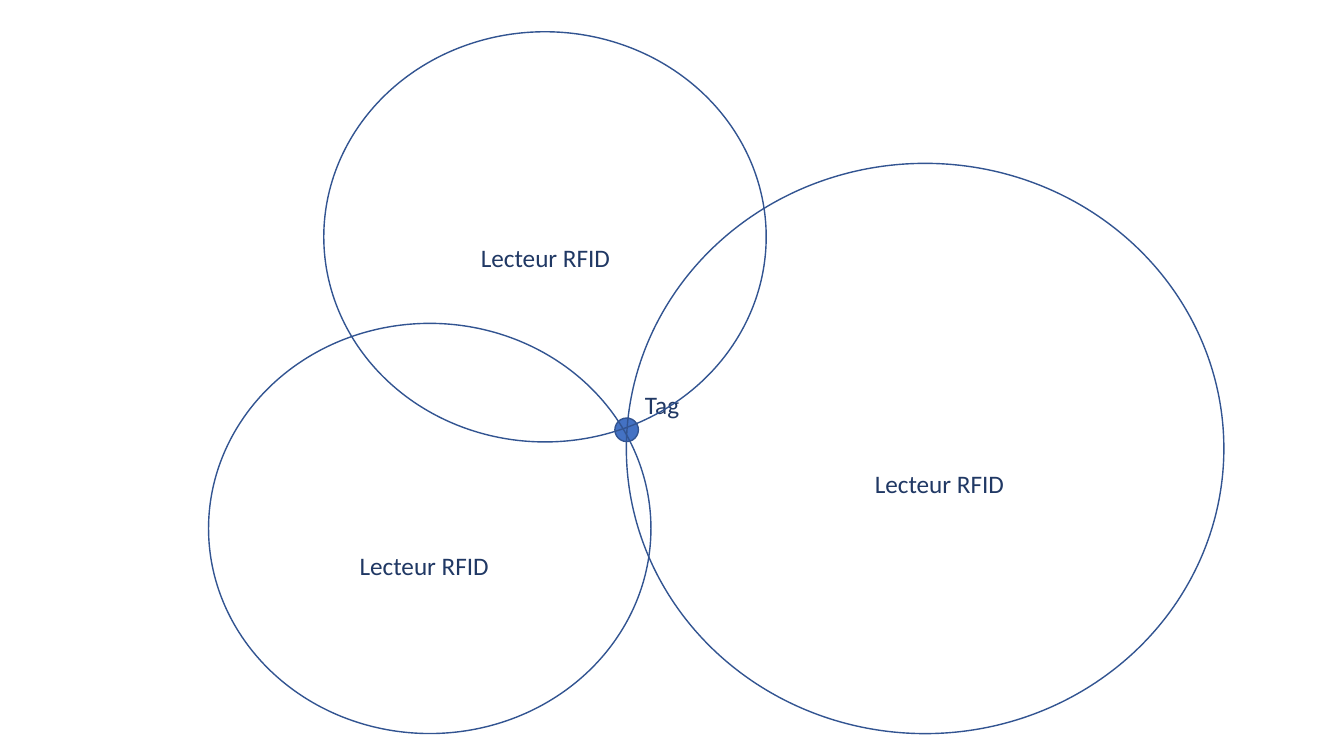
"""Build a slide that shows a tag located by three RFID readers."""
from dataclasses import dataclass

from pptx import Presentation
from pptx.dml.color import RGBColor
from pptx.enum import shapes, text
from pptx.util import Pt

BLUE = RGBColor(0x44, 0x72, 0xC4)
EDGE = RGBColor(0x32, 0x54, 0x91)
NAVY = RGBColor(0x20, 0x38, 0x64)


@dataclass
class Ring:
    left: float
    top: float
    width: float
    height: float
    fill: RGBColor | None = None


@dataclass
class Label:
    words: str
    left: float
    top: float
    width: float


TAG = Ring(439.2, 298.6, 16.8, 16.8, BLUE)
TAG_NAME = Label("Tag", 453.6, 274.5, 39.6)
READER = "Lecteur RFID"
ZONES = [
    (Label(READER, 249.8, 389.5, 108), Ring(149, 231, 316, 293)),
    (Label(READER, 617.8, 331.2, 108), Ring(447.4, 116.7, 426.8, 407.3)),
    (Label(READER, 336.4, 169.2, 108), Ring(231.3, 22.7, 316, 293)),
]


def draw_ring(slide, ring: Ring) -> None:
    oval = slide.shapes.add_shape(
        shapes.MSO_SHAPE.OVAL,
        Pt(ring.left), Pt(ring.top), Pt(ring.width), Pt(ring.height))
    oval.shadow.inherit = False
    if ring.fill is None:
        oval.fill.background()
    else:
        oval.fill.solid()
        oval.fill.fore_color.rgb = ring.fill
    oval.line.color.rgb = EDGE
    oval.line.width = Pt(1)


def draw_label(slide, label: Label) -> None:
    box = slide.shapes.add_textbox(
        Pt(label.left), Pt(label.top), Pt(label.width), Pt(29))
    frame = box.text_frame
    frame.word_wrap = False
    frame.auto_size = text.MSO_AUTO_SIZE.SHAPE_TO_FIT_TEXT
    line = frame.paragraphs[0]
    line.text = label.words
    line.font.name = "Calibri"
    line.font.size = Pt(18)
    line.font.color.rgb = NAVY


def main() -> None:
    deck = Presentation()
    deck.slide_width, deck.slide_height = Pt(960), Pt(540)
    slide = deck.slides.add_slide(deck.slide_layouts[6])
    draw_ring(slide, TAG)
    draw_label(slide, TAG_NAME)
    for label, ring in ZONES:
        draw_label(slide, label)
        draw_ring(slide, ring)
    deck.save("out.pptx")


if __name__ == "__main__":
    main()
